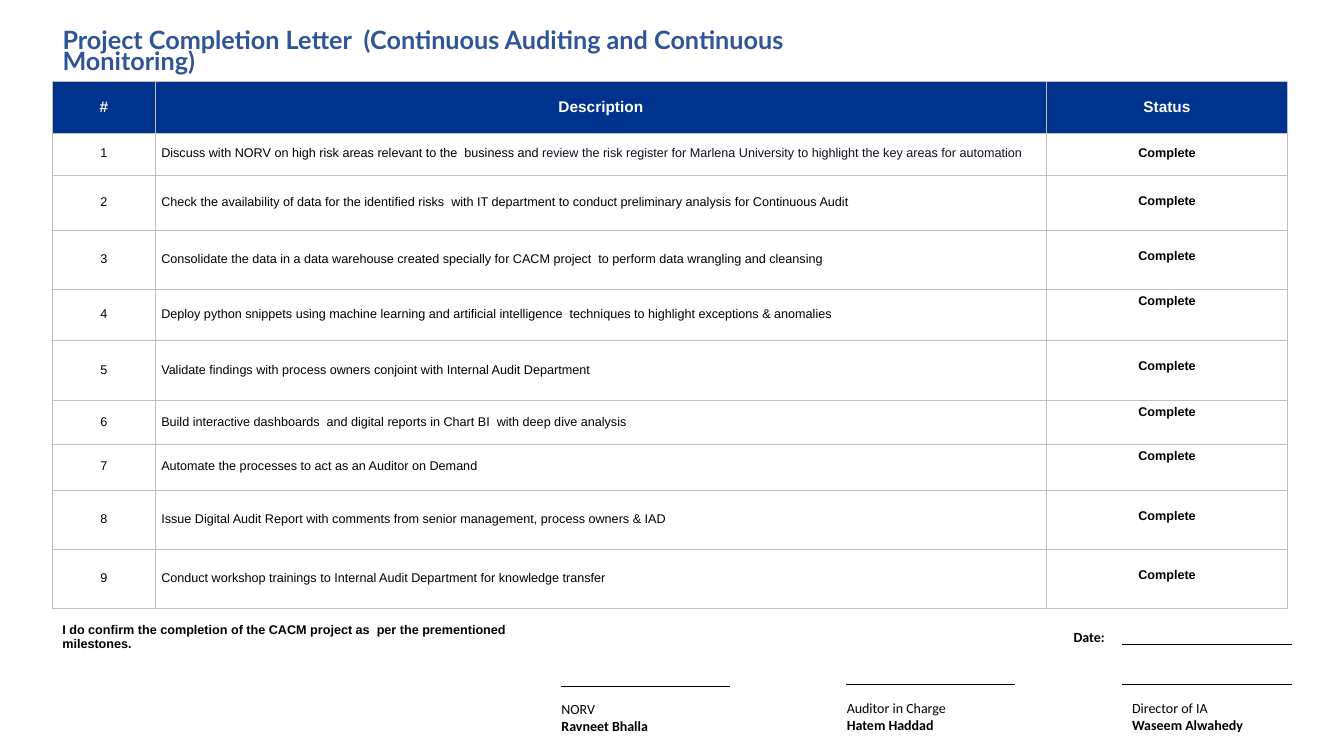
import pptx
import pptx.util
import pptx.dml.color
import pptx.enum.text
import pptx.enum.shapes
from lxml import etree

Inches = pptx.util.Inches
Pt = pptx.util.Pt
ALIGN = pptx.enum.text.PP_ALIGN
ANCHOR = pptx.enum.text.MSO_ANCHOR

COLORS = {"title": "2F5597", "header": "00338D", "border": "BFBFBF",
          "white": "FFFFFF", "black": "000000", "ink": "111121"}
TITLE = "Project Completion Letter  (Continuous Auditing and Continuous Monitoring)"
HEADINGS = ["#", "Description", "Status"]
COLUMN_WIDTHS = [1.02, 8.84, 2.39]
HEADER_HEIGHT = 0.51
STATUS = "Complete"
# Each milestone: row height, space above its status, description runs (text, color)
MILESTONES = [
    (0.42, 0.14, [("Discuss with NORV on high risk areas relevant to the  business and ", "black"),
                  ("review the risk register for Marlena University to highlight "
                   "the key areas for automation", "ink")]),
    (0.54, 0.20, [("Check the availability of data for the identified risks  with IT department "
                   "to conduct preliminary analysis for Continuous Audit", "black")]),
    (0.59, 0.20, [("Consolidate the data in a data warehouse created specially for CACM project  "
                   "to perform data wrangling and cleansing", "black")]),
    (0.51, 0.06, [("Deploy python snippets using machine learning and artificial intelligence  "
                   "techniques to highlight exceptions & anomalies", "black")]),
    (0.59, 0.20, [("Validate findings with process owners conjoint with "
                   "Internal Audit Department", "black")]),
    (0.44, 0.06, [("Build interactive dashboards  and digital reports in Chart BI  "
                   "with deep dive analysis", "black")]),
    (0.45, 0.06, [("Automate the processes to act as an Auditor on Demand", "black")]),
    (0.59, 0.20, [("Issue Digital Audit Report with comments from senior management, "
                   "process owners & IAD", "black")]),
    (0.59, 0.20, [("Conduct workshop trainings to Internal Audit Department "
                   "for knowledge transfer", "black")]),
]
CONFIRMATION = "I do confirm the completion of the CACM project as  per the prementioned milestones."
# Each signatory: role, name, line left, line top, text left, text top
SIGNATORIES = [
    ("NORV", "Ravneet Bhalla", 5.56, 6.81, 5.47, 6.90),
    ("Auditor in Charge", "Hatem Haddad", 8.39, 6.79, 8.30, 6.89),
    ("Director of IA", "Waseem Alwahedy", 11.13, 6.79, 11.13, 6.89),
]
LINE_LENGTH = 1.68
DATE_LINE = (11.13, 6.39)
TABLE_LEFT, TABLE_TOP = 0.52, 0.81


def rgb(name):
    """Return the named color."""
    return pptx.dml.color.RGBColor.from_string(COLORS[name])


def write(frame, text, size=9, font="Arial", color="black", bold=False,
          align=ALIGN.LEFT, spacing=None, new_paragraph=False):
    """Write a string, or a list of (text, color) runs, as one paragraph."""
    paragraph = frame.add_paragraph() if new_paragraph else frame.paragraphs[0]
    paragraph.alignment = align
    if spacing:
        paragraph.line_spacing = spacing
    runs = [(text, color)] if isinstance(text, str) else text
    for words, run_color in runs:
        run = paragraph.add_run()
        run.text = words
        run.font.size = Pt(size)
        run.font.name = font
        run.font.bold = bold
        run.font.color.rgb = rgb(run_color)


def add_text_frame(slide, left, top, width, height):
    """Add a wrapping text box and return its text frame."""
    box = slide.shapes.add_textbox(Inches(left), Inches(top), Inches(width), Inches(height))
    box.text_frame.word_wrap = True
    return box.text_frame


def add_rule(slide, left, top):
    """Draw one line to sign on."""
    rule = slide.shapes.add_connector(
        pptx.enum.shapes.MSO_CONNECTOR.STRAIGHT,
        Inches(left), Inches(top), Inches(left + LINE_LENGTH), Inches(top))
    rule.line.color.rgb = rgb("black")
    rule.line.width = Pt(0.5)
    etree.SubElement(rule._element.spPr, pptx.oxml.ns.qn("a:effectLst"))


def format_cell(cell, fill):
    """Give a cell its margins, anchor, borders and fill."""
    cell.margin_left = cell.margin_right = Inches(0.06)
    cell.margin_top = cell.margin_bottom = Inches(0.06)
    cell.vertical_anchor = ANCHOR.MIDDLE
    qn = pptx.oxml.ns.qn
    properties = cell._tc.get_or_add_tcPr()
    for side in ("a:lnL", "a:lnR", "a:lnT", "a:lnB"):
        line = etree.SubElement(properties, qn(side), w=str(Pt(0.25)))
        solid = etree.SubElement(line, qn("a:solidFill"))
        etree.SubElement(solid, qn("a:srgbClr"), val=COLORS["border"])
    cell.fill.solid()
    cell.fill.fore_color.rgb = rgb(fill)


def add_milestone_table(slide):
    """Add the table of milestones and their status."""
    heights = [HEADER_HEIGHT] + [height for height, _, _ in MILESTONES]
    table = slide.shapes.add_table(
        len(heights), len(HEADINGS), Inches(TABLE_LEFT), Inches(TABLE_TOP),
        Inches(sum(COLUMN_WIDTHS)), Inches(sum(heights))).table
    table.horz_banding = False
    for column, width in zip(table.columns, COLUMN_WIDTHS):
        column.width = Inches(width)
    for index, height in enumerate(heights):
        table.rows[index].height = Inches(height)
        for cell in table.rows[index].cells:
            format_cell(cell, "white" if index else "header")
    for column, heading in enumerate(HEADINGS):
        write(table.cell(0, column).text_frame, heading, size=11, color="white",
              bold=True, align=ALIGN.CENTER)
    for number, (_, status_top, description) in enumerate(MILESTONES, 1):
        number_cell, description_cell, status_cell = table.rows[number].cells
        write(number_cell.text_frame, str(number), align=ALIGN.CENTER, spacing=0.9)
        write(description_cell.text_frame, description, spacing=0.9)
        status_cell.vertical_anchor = ANCHOR.TOP
        status_cell.margin_top = Inches(status_top)
        write(status_cell.text_frame, STATUS, bold=True, align=ALIGN.CENTER, spacing=0.9)


def add_title(slide):
    """Place and write the title."""
    title = slide.shapes.title
    title.left, title.top = Inches(TABLE_LEFT), Inches(0.27)
    title.width, title.height = Inches(8.2), Inches(0.52)
    frame = title.text_frame
    frame.word_wrap = True
    frame.auto_size = pptx.enum.text.MSO_AUTO_SIZE.NONE
    frame.vertical_anchor = ANCHOR.TOP
    write(frame, TITLE, size=18, font="Lato", color="title", bold=True, spacing=0.7)


def add_sign_off(slide):
    """Add the confirmation, the date and the signatories."""
    write(add_text_frame(slide, TABLE_LEFT, 6.14, 5.16, 0.35), CONFIRMATION,
          bold=True, spacing=0.9)
    write(add_text_frame(slide, 10.55, 6.19, 0.58, 0.27), "Date:",
          size=10, font="Calibri", bold=True)
    add_rule(slide, *DATE_LINE)
    for role, name, line_left, line_top, left, top in SIGNATORIES:
        add_rule(slide, line_left, line_top)
        frame = add_text_frame(slide, left, top, 1.32, 0.44)
        write(frame, role, size=10, font="Calibri")
        write(frame, name, size=10, font="Calibri", bold=True, new_paragraph=True)


presentation = pptx.Presentation()
presentation.slide_width = Inches(13.33)
presentation.slide_height = Inches(7.5)
slide = presentation.slides.add_slide(presentation.slide_layouts[5])
add_title(slide)
add_milestone_table(slide)
add_sign_off(slide)
presentation.save("out.pptx")
